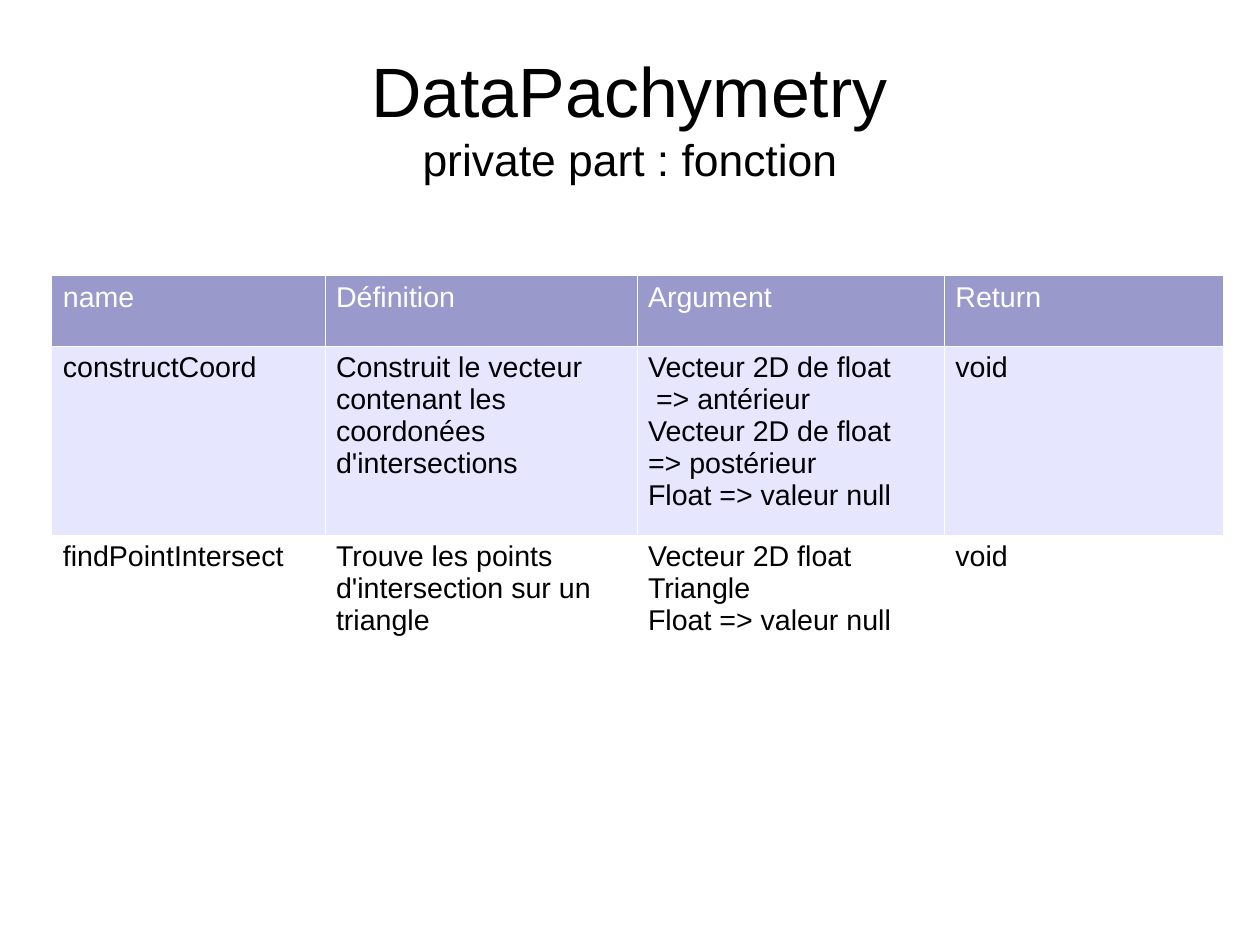
from lxml import etree
from pptx import Presentation
from pptx import util as u
from pptx.dml.color import RGBColor
from pptx.enum import text
from pptx.oxml import ns

BLACK = RGBColor(0x00, 0x00, 0x00)
WHITE = RGBColor(0xFF, 0xFF, 0xFF)
HEADER_PURPLE = RGBColor(0x99, 0x99, 0xCC)
BAND_LAVENDER = RGBColor(0xE6, 0xE6, 0xFF)

COLUMN_WIDTHS = [2.39, 2.73, 2.69, 2.44]
ROW_HEIGHTS = [0.62, 1.65, 1.08]
ROW_STYLES = [(HEADER_PURPLE, WHITE), (BAND_LAVENDER, BLACK), (WHITE, BLACK)]
FUNCTION_ROWS = [
    ["name", "Définition", "Argument", "Return"],
    [
        "constructCoord",
        "Construit le vecteur contenant les coordonées d'intersections",
        "Vecteur 2D de float\n => antérieur\nVecteur 2D de float\n"
        "=> postérieur\nFloat => valeur null",
        "void",
    ],
    [
        "findPointIntersect",
        "Trouve les points d'intersection sur un triangle",
        "Vecteur 2D float\nTriangle\nFloat => valeur null",
        "void",
    ],
]


def write(paragraph, content, *, size=18, color=BLACK, font="Arial", indent=0):
    if indent:
        paragraph._p.get_or_add_pPr().set("marL", str(u.Inches(indent)))
    run = paragraph.add_run()
    run.text = content
    run.font.name = font
    run.font.size = u.Pt(size)
    run.font.bold = False
    run.font.color.rgb = color


class SlideBuilder:
    """Build the elements of one slide in a shared style."""

    def __init__(self, presentation, border=WHITE, border_width=0.06):
        self.border = border
        self.border_width = border_width
        self.slide = presentation.slides.add_slide(presentation.slide_layouts[5])

    def title(self, heading, subtitle, left, top, width, height):
        shape = self.slide.shapes.title
        shape.left, shape.top = u.Inches(left), u.Inches(top)
        shape.width, shape.height = u.Inches(width), u.Inches(height)
        frame = shape.text_frame
        frame.margin_left = frame.margin_right = 0
        frame.margin_top = frame.margin_bottom = 0
        frame.word_wrap = True
        frame.auto_size = text.MSO_AUTO_SIZE.NONE
        frame.vertical_anchor = text.MSO_ANCHOR.MIDDLE
        paragraph = frame.paragraphs[0]
        paragraph.alignment = text.PP_ALIGN.CENTER
        write(paragraph, heading, size=44)
        paragraph.add_line_break()
        write(paragraph, subtitle, size=28)

    def table(self, rows, left, top, widths, heights, styles):
        shape = self.slide.shapes.add_table(
            len(rows), len(widths), u.Inches(left), u.Inches(top),
            u.Inches(sum(widths)), u.Inches(sum(heights)))
        table = shape.table
        table.first_row = table.horz_banding = False
        for column, width in zip(table.columns, widths):
            column.width = u.Inches(width)
        for row, height, values, style in zip(table.rows, heights, rows, styles):
            row.height = u.Inches(height)
            for cell, value in zip(row.cells, values):
                self.cell(cell, value, *style)

    def cell(self, cell, content, fill, color):
        self.cell_borders(cell)
        cell.fill.solid()
        cell.fill.fore_color.rgb = fill
        cell.margin_left = cell.margin_right = u.Inches(0.1)
        cell.margin_top = cell.margin_bottom = u.Inches(0.05)
        frame = cell.text_frame
        for number, line in enumerate(content.split("\n")):
            paragraph = frame.add_paragraph() if number else frame.paragraphs[0]
            indent = 0.07 if line.startswith(" ") else 0
            write(paragraph, line.strip(), color=color, indent=indent)

    def cell_borders(self, cell):
        properties = cell._tc.get_or_add_tcPr()
        for side in ("a:lnL", "a:lnR", "a:lnT", "a:lnB"):
            line = etree.SubElement(
                properties, ns.qn(side), w=str(u.Pt(self.border_width)))
            fill = etree.SubElement(line, ns.qn("a:solidFill"))
            etree.SubElement(fill, ns.qn("a:srgbClr"), val=str(self.border))


def main():
    presentation = Presentation()
    presentation.slide_width = u.Cm(28)
    presentation.slide_height = u.Cm(21)
    builder = SlideBuilder(presentation)
    builder.title("DataPachymetry", "private part : fonction",
                  0.55, 0.33, 9.92, 1.38)
    builder.table(FUNCTION_ROWS, 0.45, 2.41, COLUMN_WIDTHS, ROW_HEIGHTS, ROW_STYLES)
    presentation.save("out.pptx")


if __name__ == "__main__":
    main()
